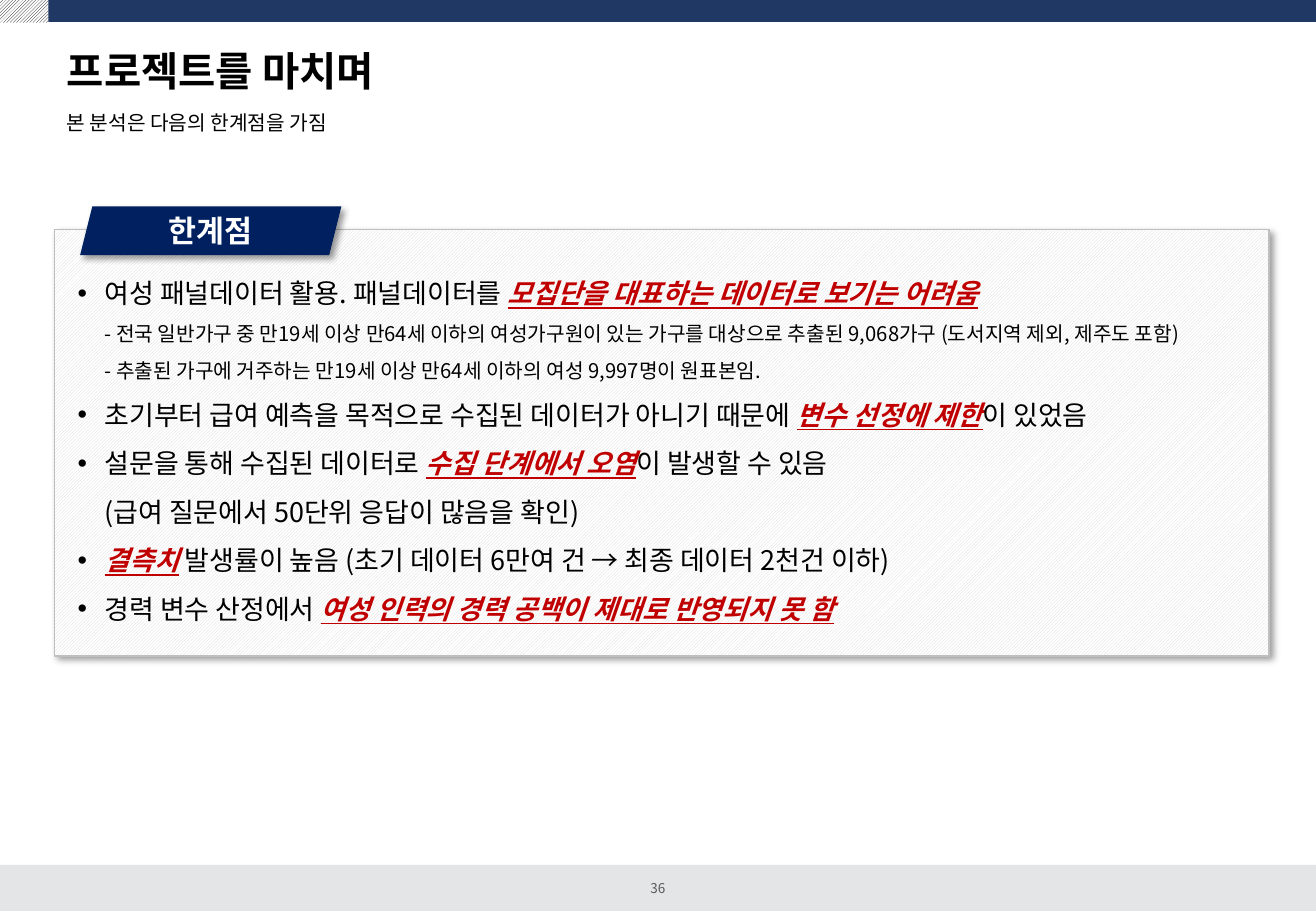
from copy import deepcopy
from dataclasses import dataclass

from lxml.etree import SubElement
from pptx import Presentation
from pptx.dml.color import RGBColor
from pptx.enum.dml import MSO_PATTERN
from pptx.enum.shapes import MSO_SHAPE
from pptx.enum.text import MSO_ANCHOR, MSO_AUTO_SIZE, PP_ALIGN
from pptx.oxml.ns import qn
from pptx.util import Pt

TITLE = "프로젝트를 마치며"
LEAD = "본 분석은 다음의 한계점을 가짐"
TAG = "한계점"
PAGE = "36"
# Each limit is a list of (style, text) runs.
LIMITS = [
    [("main", "여성 패널데이터 활용. 패널데이터를 "),
     ("key", "모집단을 대표하는 데이터로 보기는 어려움\n"),
     ("note", "- 전국 일반가구 중 만19세 이상 만64세 이하의 여성가구원이 있는 가구를 "
              "대상으로 추출된 9,068가구 (도서지역 제외, 제주도 포함)\n"
              "- 추출된 가구에 거주하는 만19세 이상 만64세 이하의 여성 9,997명이 원표본임.")],
    [("main", "초기부터 급여 예측을 목적으로 수집된 데이터가 아니기 때문에 "),
     ("key", "변수 선정에 제한"),
     ("main", "이 있었음")],
    [("main", "설문을 통해 수집된 데이터로 "),
     ("key", "수집 단계에서 오염"),
     ("main", "이 발생할 수 있음\n(급여 질문에서 50단위 응답이 많음을 확인)")],
    [("key", "결측치"),
     ("main", " 발생률이 높음 (초기 데이터 6만여 건 → 최종 데이터 2천건 이하)")],
    [("main", "경력 변수 산정에서 "),
     ("key", "여성 인력의 경력 공백이 제대로 반영되지 못 함")],
]


@dataclass(frozen=True)
class Theme:
    face: str = "Noto Sans CJK KR"
    ink: str = "000000"
    paper: str = "FFFFFF"
    navy: str = "203864"
    tag: str = "002060"
    red: str = "C00000"
    foot: str = "E3E5E6"
    hatch: str = "D9D9D9"
    edge: str = "BFBFBF"
    grey: str = "595959"
    head: int = 24
    label: int = 18
    main: int = 16
    note: int = 12
    page: int = 8


T = Theme()
STYLES = {
    "main": dict(size=T.main),
    "key": dict(size=T.main, color=T.red, bold=True, italic=True, under=True),
    "note": dict(size=T.note),
}
WIDE, HIGH = 780, 540
LEFT, SPAN = 32.4, 720
FOOT = 27.4


def rgb(code):
    return RGBColor.from_string(code)


def write(para, text, size=12, color=T.ink, bold=False, italic=False, under=False):
    """Add formatted text to a paragraph; each newline becomes a line break."""
    for n, line in enumerate(text.split("\n")):
        if n:
            para.add_line_break()
            para._p[-1].append(deepcopy(run._r.rPr))
        if not line:
            continue
        run = para.add_run()
        run.text = line
        font = run.font
        font.size, font.name = Pt(size), T.face
        font.bold, font.italic, font.underline = bold, italic, under
        font.color.rgb = rgb(color)
        SubElement(run._r.rPr, qn("a:ea"), typeface=T.face)


def place(shape, x, y, w, h):
    shape.left, shape.top, shape.width, shape.height = map(Pt, (x, y, w, h))
    return shape


def block(slide, kind, box, fill=None, pattern=None, fore=None):
    shape = slide.shapes.add_shape(kind, *map(Pt, box))
    shape.shadow.inherit = False
    shape.line.fill.background()
    if pattern:
        shape.fill.patterned()
        shape.fill.pattern = pattern
        shape.fill.fore_color.rgb = rgb(fore)
        shape.fill.back_color.rgb = rgb(T.paper)
    else:
        shape.fill.solid()
        shape.fill.fore_color.rgb = rgb(fill)
    return shape


def shade(shape):
    """Give the shape a soft shadow at the lower right."""
    effects = shape._element.spPr.find(qn("a:effectLst"))
    cast = SubElement(effects, qn("a:outerShdw"), blurRad=str(Pt(4)), dist=str(Pt(3)),
                      dir=str(45 * 60000), algn="tl", rotWithShape="0")
    color = SubElement(cast, qn("a:srgbClr"), val=T.ink)
    SubElement(color, qn("a:alpha"), val="40000")


def bullet(para):
    props = para._p.get_or_add_pPr()
    props.set("marL", str(Pt(22.5)))
    props.set("indent", str(Pt(-16)))
    SubElement(SubElement(props, qn("a:buClr")), qn("a:srgbClr"), val=T.ink)
    SubElement(props, qn("a:buFont"), typeface="Arial")
    SubElement(props, qn("a:buChar"), char="•")


def frame(slide):
    rect = MSO_SHAPE.RECTANGLE
    block(slide, rect, (0, HIGH - FOOT, WIDE, FOOT), T.foot)
    block(slide, rect, (0, 0, WIDE, 13), T.navy)
    block(slide, rect, (0, 0, 28.8, 13.5),
          pattern=MSO_PATTERN.DARK_UPWARD_DIAGONAL, fore=T.ink)
    wide = 10
    box = slide.shapes.add_textbox(*map(Pt, ((WIDE - wide) / 2, 518.4, wide, 17.3)))
    text = box.text_frame
    text.word_wrap = False
    text.margin_left = text.margin_right = 0
    para = text.paragraphs[0]
    para.alignment = PP_ALIGN.CENTER
    write(para, PAGE, size=T.page, color=T.grey)


def heads(slide):
    title, lead = slide.placeholders
    place(title, LEFT, 21.6, SPAN, 44)
    place(lead, LEFT, 61.9, SPAN, 60.5)
    for shape in (title, lead):
        shape.text_frame.auto_size = MSO_AUTO_SIZE.NONE
        shape.text_frame.paragraphs[0].alignment = PP_ALIGN.LEFT
    title.text_frame.vertical_anchor = MSO_ANCHOR.MIDDLE
    para = title.text_frame.paragraphs[0]
    para.line_spacing = 0.9
    write(para, TITLE, size=T.head, bold=True)
    para = lead.text_frame.paragraphs[0]
    props = para._p.get_or_add_pPr()
    props.set("marL", "0")
    props.set("indent", "0")
    SubElement(props, qn("a:buNone"))
    para.space_before = Pt(0)
    write(para, LEAD, size=T.note)


def panel(slide):
    card = block(slide, MSO_SHAPE.RECTANGLE, (LEFT, 136.1, SPAN, 252.7),
                 pattern=MSO_PATTERN.LIGHT_UPWARD_DIAGONAL, fore=T.hatch)
    card.line.color.rgb = rgb(T.edge)
    card.line.width = Pt(1)
    tag = block(slide, MSO_SHAPE.PARALLELOGRAM, (47.5, 122.4, 154.8, 28.8), T.tag)
    for shape in (card, tag):
        shade(shape)
        shape.text_frame.word_wrap = True
        shape.text_frame.vertical_anchor = MSO_ANCHOR.MIDDLE
    for n, runs in enumerate(LIMITS):
        text = card.text_frame
        para = text.add_paragraph() if n else text.paragraphs[0]
        bullet(para)
        para.alignment = PP_ALIGN.LEFT
        para.line_spacing = 1.5
        for style, words in runs:
            write(para, words, **STYLES[style])
    para = tag.text_frame.paragraphs[0]
    para.alignment = PP_ALIGN.CENTER
    write(para, TAG, size=T.label, color=T.paper, bold=True)


def main():
    deck = Presentation()
    deck.slide_width, deck.slide_height = Pt(WIDE), Pt(HIGH)
    slide = deck.slides.add_slide(deck.slide_layouts[1])
    frame(slide)
    heads(slide)
    panel(slide)
    deck.save("out.pptx")


if __name__ == "__main__":
    main()
